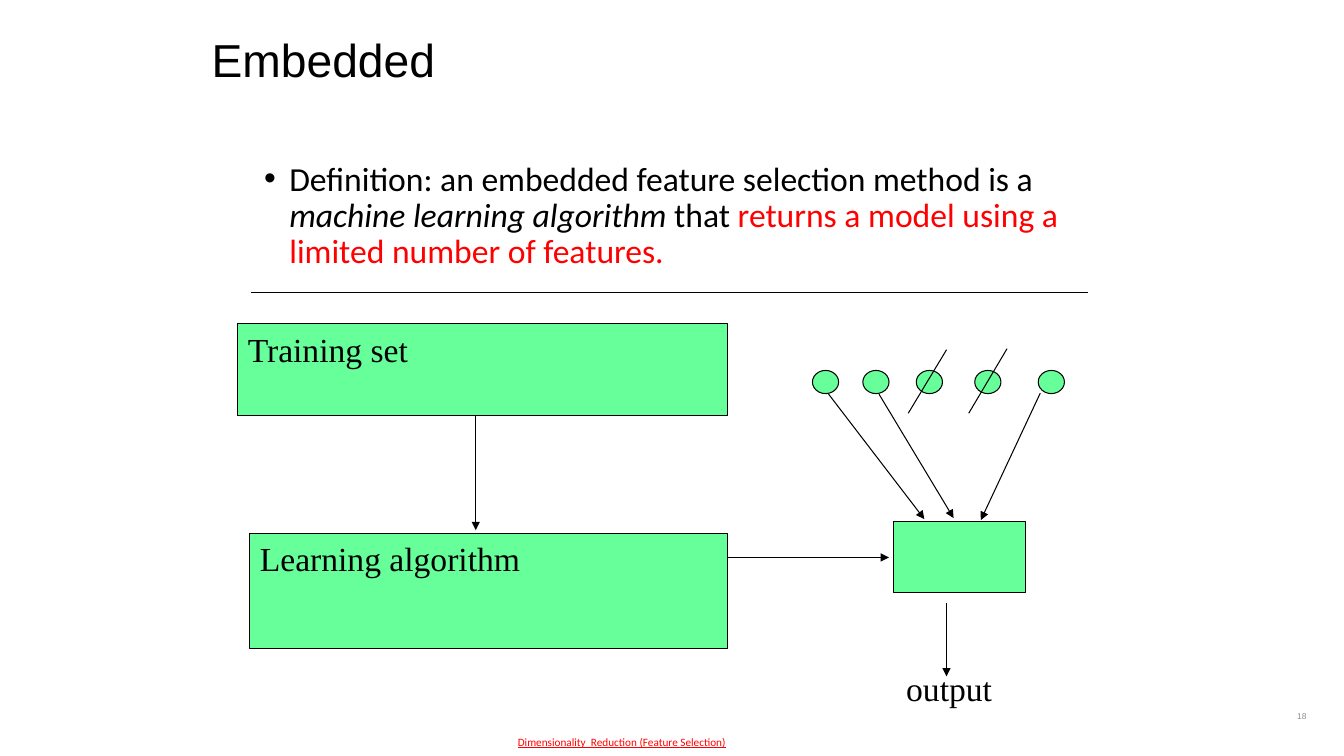
"""Build the slide on embedded feature selection, laid out on a quarter-inch grid."""
import pptx
import pptx.util
import pptx.dml.color
import pptx.enum.shapes
import pptx.enum.text
import pptx.oxml.ns
import lxml.etree

GRID = pptx.util.Inches(0.25)
COLUMNS, ROWS = 53.33, 30
BLACK = pptx.dml.color.RGBColor(0x00, 0x00, 0x00)
RED = pptx.dml.color.RGBColor(0xFF, 0x00, 0x00)
GREEN = pptx.dml.color.RGBColor(0x66, 0xFF, 0x99)
GRAY = pptx.dml.color.RGBColor(0x8C, 0x8C, 0x8C)
SERIF = "Times New Roman"
ALIGN = pptx.enum.text.PP_ALIGN
ANCHOR = pptx.enum.text.MSO_ANCHOR
SHAPE = pptx.enum.shapes.MSO_SHAPE

NODE_COLUMNS = (32.24, 34.24, 36.36, 38.68, 41.2)
ARROWS = (
    (32.88, 15.64, 36.68, 20.6),
    (34.88, 15.64, 37.84, 20.56),
    (41.28, 15.6, 38.92, 20.64),
    (37.56, 23.92, 37.56, 26.84),
    (18.88, 16.48, 18.88, 21.04),
    (28.88, 22.12, 35.28, 22.12),
)
PLAIN_LINES = (
    (9.96, 11.6, 43.16, 11.6),
    (37.56, 13.88, 36.04, 16.4),
    (39.96, 13.84, 38.44, 16.4),
)
DEFINITION = (
    ("Definition: an embedded feature selection method is a ", BLACK, False),
    ("machine learning algorithm", BLACK, True),
    (" that ", BLACK, False),
    ("returns a model using a limited number of features.", RED, False),
)


def place(*cells):
    """Convert grid cells to lengths."""
    return [round(cell * GRID) for cell in cells]


def format_font(font, name, size, color):
    """Set the name, size and colour of a font."""
    font.name = name
    font.size = pptx.util.Pt(size)
    font.color.rgb = color


def add_child(parent, tag, **attributes):
    """Append a DrawingML element to its parent."""
    return lxml.etree.SubElement(parent, pptx.oxml.ns.qn(tag), attributes)


def add_green_shape(slide, kind, cells, text=""):
    """Add an outlined green shape with an optional label at its top left."""
    shape = slide.shapes.add_shape(kind, *place(*cells))
    shape.shadow.inherit = False
    shape.fill.solid()
    shape.fill.fore_color.rgb = GREEN
    shape.line.color.rgb = BLACK
    shape.line.width = pptx.util.Pt(0.75)
    if text:
        frame = shape.text_frame
        frame.text = text
        frame.word_wrap = False
        frame.vertical_anchor = ANCHOR.TOP
        frame.paragraphs[0].alignment = ALIGN.LEFT
        format_font(frame.paragraphs[0].runs[0].font, SERIF, 24, BLACK)


def add_line(slide, ends, arrow=False):
    """Add a thin black line, with an arrowhead at its end if wanted."""
    line = slide.shapes.add_connector(
        pptx.enum.shapes.MSO_CONNECTOR.STRAIGHT, *place(*ends))
    line.line.color.rgb = BLACK
    line.line.width = pptx.util.Pt(0.75)
    if arrow:
        add_child(line.line._get_or_add_ln(), "a:tailEnd", type="triangle")
    add_child(line._element.spPr, "a:effectLst")


def add_label(slide, cells, text, font, alignment, anchor=ANCHOR.MIDDLE, wrap=True):
    """Add a one-line text box and return its run."""
    frame = slide.shapes.add_textbox(*place(*cells)).text_frame
    frame.text = text
    frame.word_wrap = wrap
    frame.vertical_anchor = anchor
    paragraph = frame.paragraphs[0]
    paragraph.alignment = alignment
    format_font(paragraph.runs[0].font, *font)
    return paragraph.runs[0]


def prepare_placeholder(placeholder, cells, anchor):
    """Move a placeholder and return its first paragraph."""
    placeholder.left, placeholder.top, placeholder.width, placeholder.height = place(*cells)
    frame = placeholder.text_frame
    frame.auto_size = pptx.enum.text.MSO_AUTO_SIZE.NONE
    frame.word_wrap = True
    frame.vertical_anchor = anchor
    paragraph = frame.paragraphs[0]
    paragraph.alignment = ALIGN.LEFT
    paragraph.line_spacing = 0.9
    paragraph.space_before = pptx.util.Pt(0)
    return paragraph


def fill_title(slide):
    """Write the slide title."""
    paragraph = prepare_placeholder(slide.shapes.title, (8, 0, 36, 5), ANCHOR.MIDDLE)
    paragraph.text = "Embedded"
    format_font(paragraph.runs[0].font, "Arial", 33, BLACK)


def fill_definition(slide):
    """Write the bulleted definition in the body placeholder."""
    paragraph = prepare_placeholder(
        slide.placeholders[1], (10.08, 6.24, 34, 6), ANCHOR.TOP)
    properties = paragraph._p.get_or_add_pPr()
    properties.set("marL", str(GRID))
    properties.set("indent", str(-GRID))
    add_child(properties, "a:buFont", typeface="Arial")
    add_child(properties, "a:buChar", char="•")
    for text, color, italic in DEFINITION:
        run = paragraph.add_run()
        run.text = text
        format_font(run.font, "Calibri", 24, color)
        run.font.italic = italic


def draw_diagram(slide):
    """Draw the boxes, feature nodes, lines and output label."""
    add_green_shape(slide, SHAPE.RECTANGLE, (35.44, 20.68, 5.24, 2.84))
    add_green_shape(slide, SHAPE.RECTANGLE, (9.92, 21.16, 18.96, 4.56), "Learning algorithm")
    add_green_shape(slide, SHAPE.RECTANGLE, (9.44, 12.84, 19.44, 3.64), "Training set")
    for column in NODE_COLUMNS:
        add_green_shape(slide, SHAPE.OVAL, (column, 14.7, 1.04, 0.92))
    for ends in ARROWS:
        add_line(slide, ends, arrow=True)
    for ends in PLAIN_LINES:
        add_line(slide, ends)
    add_label(slide, (35.56, 26.32, 4.2, 2), "output", (SERIF, 24, BLACK),
              ALIGN.CENTER, ANCHOR.TOP, wrap=False)


def main():
    """Build and save the presentation."""
    presentation = pptx.Presentation()
    presentation.slide_width, presentation.slide_height = place(COLUMNS, ROWS)
    slide = presentation.slides.add_slide(presentation.slide_layouts[1])
    fill_title(slide)
    fill_definition(slide)
    draw_diagram(slide)
    footer = add_label(slide, (15.68, 28.64, 18, 1.6),
                       "Dimensionality  Reduction (Feature Selection)",
                       ("Calibri", 8, RED), ALIGN.CENTER)
    footer.font.underline = True
    add_label(slide, (40.24, 27.6, 12, 1.6), "18", ("Arial", 6, GRAY), ALIGN.RIGHT)
    presentation.save("out.pptx")


if __name__ == "__main__":
    main()
